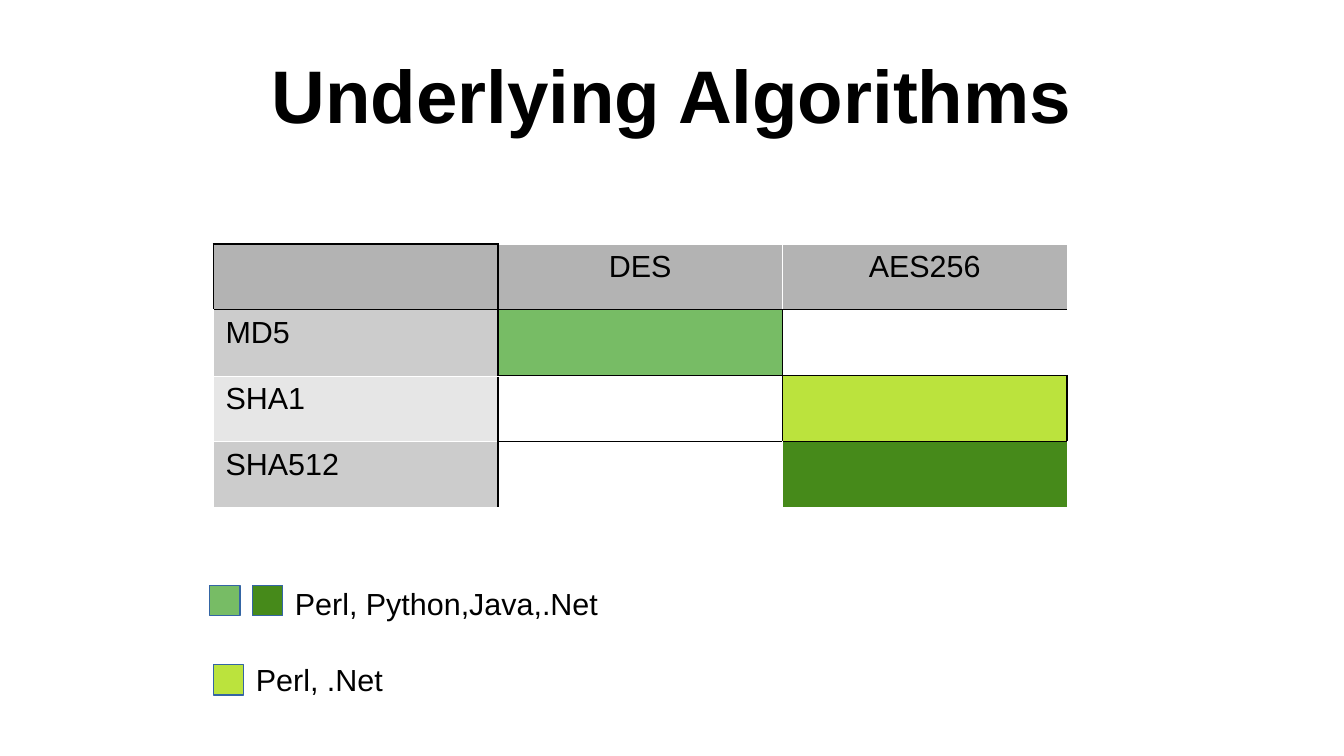
from lxml import etree
from pptx import Presentation
from pptx.dml.color import RGBColor
from pptx.enum import shapes, text
from pptx.oxml import ns
from pptx.util import Pt

BLACK = RGBColor(0x00, 0x00, 0x00)
WHITE = RGBColor(0xFF, 0xFF, 0xFF)
HEADER = RGBColor(0xB3, 0xB3, 0xB3)
BAND_DARK = RGBColor(0xCC, 0xCC, 0xCC)
BAND_LIGHT = RGBColor(0xE6, 0xE6, 0xE6)
GREEN = RGBColor(0x77, 0xBC, 0x65)
LIME = RGBColor(0xBB, 0xE3, 0x3D)
DARK_GREEN = RGBColor(0x46, 0x8A, 0x1A)
OUTLINE = RGBColor(0x34, 0x65, 0xA4)

CENTER = text.PP_ALIGN.CENTER
SWATCH = 18
SWATCH_STEP = 25.2

# Each cell: text, fill, white edges
ALGORITHMS = [
    [("", HEADER, ""), ("DES", HEADER, "LRT"), ("AES256", HEADER, "LRT")],
    [("MD5", BAND_DARK, "LTB"), ("", GREEN, ""), ("", WHITE, "RT")],
    [("SHA1", BAND_LIGHT, "LTB"), ("", WHITE, "LB"), ("", LIME, "")],
    [("SHA512", BAND_DARK, "LTB"), ("", WHITE, "LB"), ("", DARK_GREEN, "LRB")],
]


def write(tf, content, size=18, bold=False, align=text.PP_ALIGN.LEFT):
    p = tf.paragraphs[0]
    p.alignment = align
    r = p.add_run()
    r.text = content
    r.font.name = "Arial"
    r.font.size = Pt(size)
    r.font.bold = bold
    r.font.color.rgb = BLACK


def add_title(slide, content):
    title = slide.shapes.title
    title.left, title.top, title.width, title.height = Pt(39.6), Pt(18), Pt(714.2), Pt(75)
    tf = title.text_frame
    tf.margin_left = tf.margin_right = tf.margin_top = tf.margin_bottom = 0
    tf.vertical_anchor = text.MSO_ANCHOR.MIDDLE
    tf.auto_size = text.MSO_AUTO_SIZE.NONE
    write(tf, content, size=44, bold=True, align=CENTER)


def add_edges(cell, edges):
    """Draw thin white borders on the given sides, named in L, R, T, B order."""
    tc_pr = cell._tc.get_or_add_tcPr()
    for edge in edges:
        ln = etree.SubElement(tc_pr, ns.qn("a:ln" + edge), w="720")
        fill = etree.SubElement(ln, ns.qn("a:solidFill"))
        etree.SubElement(fill, ns.qn("a:srgbClr"), val=str(WHITE))


def add_algorithm_table(slide, rows):
    frame = slide.shapes.add_table(len(rows), len(rows[0]), Pt(126), Pt(144), Pt(504), Pt(155.6))
    table = frame.table
    table.first_row = table.horz_banding = False
    tbl_pr = table._tbl.tblPr
    tbl_pr.remove(tbl_pr.find(ns.qn("a:tableStyleId")))
    for i, row in enumerate(rows):
        for j, (label, color, edges) in enumerate(row):
            cell = table.cell(i, j)
            add_edges(cell, edges)
            cell.fill.solid()
            cell.fill.fore_color.rgb = color
            if label:
                write(cell.text_frame, label, align=CENTER if i == 0 else text.PP_ALIGN.LEFT)


def add_swatch(group, left, top, color):
    sp = group.shapes.add_shape(shapes.MSO_SHAPE.RECTANGLE, Pt(left), Pt(top), Pt(SWATCH), Pt(SWATCH))
    sp.shadow.inherit = False
    sp.fill.solid()
    sp.fill.fore_color.rgb = color
    sp.line.color.rgb = OUTLINE
    sp.line.width = Pt(0)


def add_legend(slide, left, top, colors, label, label_top, label_width):
    """Add a row of swatches followed by its label, as one group."""
    group = slide.shapes.add_group_shape()
    for i, color in enumerate(colors):
        add_swatch(group, left + i * SWATCH_STEP, top, color)
    label_left = left + (len(colors) - 1) * SWATCH_STEP + SWATCH
    box = group.shapes.add_textbox(Pt(label_left), Pt(label_top), Pt(label_width), Pt(27.4))
    tf = box.text_frame
    tf.word_wrap = False
    tf.auto_size = text.MSO_AUTO_SIZE.SHAPE_TO_FIT_TEXT
    write(tf, label)


def main():
    prs = Presentation()
    prs.slide_width, prs.slide_height = Pt(793.5), Pt(446.4)
    slide = prs.slides.add_slide(prs.slide_layouts[5])
    add_title(slide, "Underlying Algorithms")
    add_algorithm_table(slide, ALGORITHMS)
    add_legend(slide, 123.8, 345.6, [GREEN, DARK_GREEN], "Perl, Python,Java,.Net", 342, 193.7)
    add_legend(slide, 126, 392.4, [LIME], "Perl, .Net", 386.8, 89.3)
    prs.save("out.pptx")


if __name__ == "__main__":
    main()
